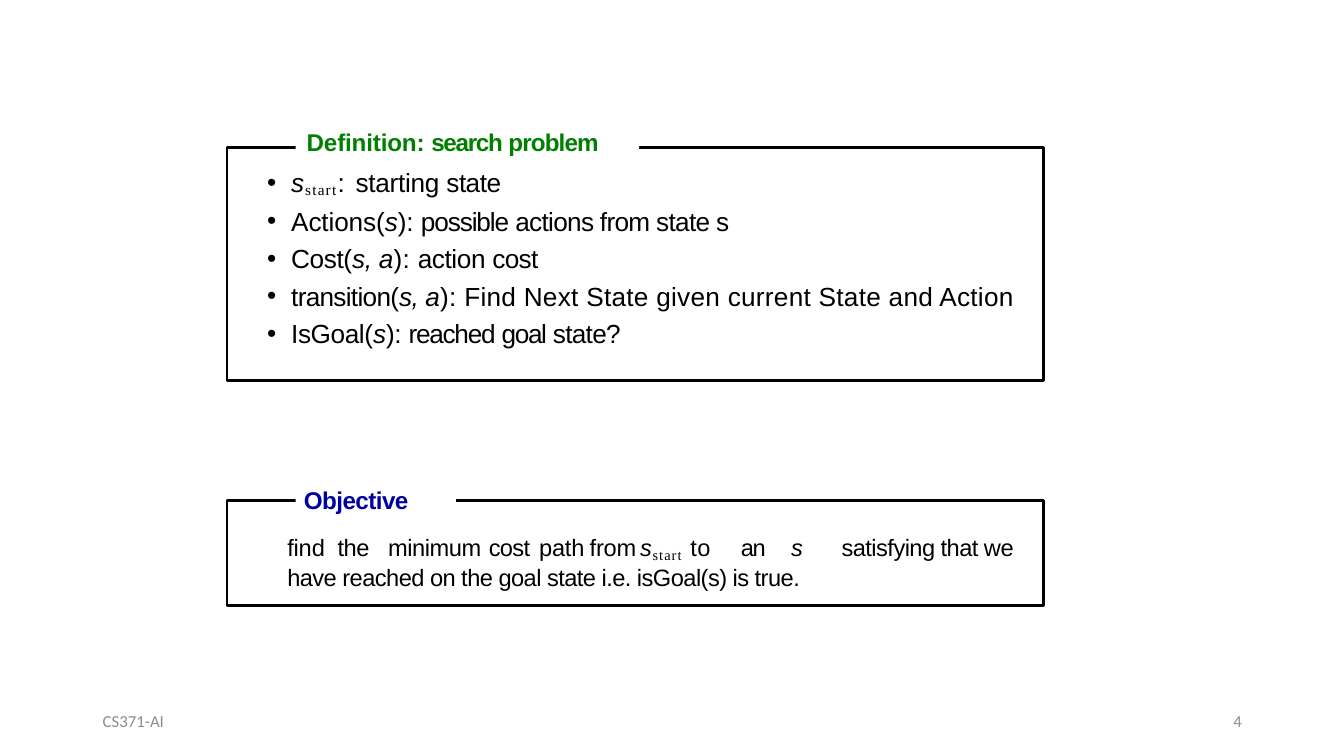
from dataclasses import dataclass

from lxml import etree
from pptx import Presentation
from pptx import util as u
from pptx.dml import color
from pptx.enum import shapes, text
from pptx.oxml import ns


@dataclass(frozen=True)
class Theme:
    sans: str = "Arial"
    serif: str = "Times New Roman"
    footer_font: str = "Calibri"
    ink: str = "000000"
    paper: str = "FFFFFF"
    definition: str = "008000"
    objective: str = "0000A0"
    muted: str = "8C8C8C"
    label_size: float = 17.3
    list_size: float = 18.7
    body_size: float = 16.9
    subscript_size: float = 17.7
    footer_size: float = 12


class Sheet:
    frame_left = 5.72
    frame_width = 20.57

    def __init__(self, page, theme):
        self.page = page
        self.theme = theme

    def span(self, para, content, size, tint=None, font=None, bold=False,
             italic=False, spacing=0, baseline=0):
        run = para.add_run()
        run.text = content
        run.font.size = u.Pt(size)
        run.font.name = font or self.theme.sans
        run.font.bold = bold
        run.font.italic = italic
        run.font.color.rgb = color.RGBColor.from_string(tint or self.theme.ink)
        properties = run.font._element
        properties.set("spc", str(round(spacing * 100)))
        if baseline:
            properties.set("baseline", str(baseline * 1000))

    def spans(self, para, pieces, size):
        for content, spacing, *style in pieces:
            options = {"size": size, **(style[0] if style else {})}
            self.span(para, content, spacing=spacing, **options)

    def indent(self, para, left, hanging=0, bullet=None, tabs=()):
        properties = para._p.get_or_add_pPr()
        properties.set("marL", str(u.Cm(left)))
        properties.set("indent", str(-u.Cm(hanging)))
        if bullet:
            etree.SubElement(properties, ns.qn("a:buFont"), typeface=self.theme.sans)
            etree.SubElement(properties, ns.qn("a:buChar"), char=bullet)
        if tabs:
            stops = etree.SubElement(properties, ns.qn("a:tabLst"))
            for stop in tabs:
                etree.SubElement(stops, ns.qn("a:tab"), pos=str(u.Cm(stop)), algn="l")

    def text_box(self, left, top, width, height, inset=0):
        box = self.page.shapes.add_textbox(*map(u.Cm, (left, top, width, height)))
        frame = box.text_frame
        frame.word_wrap = True
        frame.margin_left = frame.margin_right = u.Cm(inset)
        frame.margin_top = frame.margin_bottom = 0
        return frame

    def rectangle(self, left, top, width, height):
        box = self.page.shapes.add_shape(
            shapes.MSO_SHAPE.RECTANGLE, *map(u.Cm, (left, top, width, height)))
        box.shadow.inherit = False
        return box

    def panel(self, top, height, label_width, label_inset, pieces, tint):
        outline = self.rectangle(self.frame_left, top, self.frame_width, height)
        outline.fill.background()
        outline.line.color.rgb = color.RGBColor.from_string(self.theme.ink)
        outline.line.width = u.Pt(2)
        label = self.rectangle(self.frame_left + 1.73, top - 0.53, label_width, 0.94)
        label.fill.solid()
        label.fill.fore_color.rgb = color.RGBColor.from_string(self.theme.paper)
        label.line.fill.background()
        frame = label.text_frame
        frame.word_wrap = True
        frame.vertical_anchor = text.MSO_ANCHOR.TOP
        frame.margin_left, frame.margin_top = map(u.Cm, label_inset)
        frame.margin_right = frame.margin_bottom = 0
        para = frame.paragraphs[0]
        para.alignment = text.PP_ALIGN.LEFT
        for content, spacing in pieces:
            self.span(para, content, self.theme.label_size, tint=tint,
                      bold=True, spacing=spacing)

    def bullets(self, left, top, width, height, items, tabs):
        frame = self.text_box(left, top, width, height)
        for index, pieces in enumerate(items):
            para = frame.add_paragraph() if index else frame.paragraphs[0]
            self.indent(para, 0.69, 0.61, "•", () if index else tabs)
            para.space_before = u.Pt(4.3 if index else 0)
            self.spans(para, pieces, self.theme.list_size)

    def statement(self, left, top, width, height, pieces, tabs):
        para = self.text_box(left, top, width, height).paragraphs[0]
        self.indent(para, 0.1, tabs=tabs)
        self.spans(para, pieces, self.theme.body_size)

    def footer(self, left, content, alignment):
        frame = self.text_box(left, 17.65, 7.62, 1.02, inset=0.25)
        frame.vertical_anchor = text.MSO_ANCHOR.MIDDLE
        para = frame.paragraphs[0]
        para.alignment = alignment
        self.span(para, content, self.theme.footer_size,
                  tint=self.theme.muted, font=self.theme.footer_font)


def main():
    deck = Presentation()
    deck.slide_width, deck.slide_height = u.Cm(33.87), u.Cm(19.05)
    theme = Theme()
    sheet = Sheet(deck.slides.add_slide(deck.slide_layouts[6]), theme)
    italic = {"italic": True}
    subscript = {"font": theme.serif, "baseline": -13}

    sheet.footer(2.34, "CS371-AI", text.PP_ALIGN.LEFT)
    sheet.footer(23.93, "4", text.PP_ALIGN.RIGHT)

    sheet.panel(3.71, 5.89, 8.66, (0.28, 0.03),
                [("Definition: ", -0.1), ("search ", -0.9), ("problem", -0.6)],
                theme.definition)
    sheet.bullets(6.65, 4.19, 19.15, 4.6, [
        [("s", 0.6, italic), ("start", 0.9, subscript), (":\t", 0.6),
         ("starting ", -0.2), ("state", -0.4)],
        [("Actions(", -0.1), ("s", -0.1, italic), ("): ", -0.1),
         ("possible ", -0.8), ("actions from state s", -0.5)],
        [("Cost(", -0.3), ("s, ", -0.3, italic), ("a", 0.2, italic), ("): ", 0.2),
         ("action ", -0.3), ("cost", -0.5)],
        [("transition(", -0.5), ("s, ", -0.5, italic), ("a", 0.2, italic),
         ("): Find Next State given current State and Action", 0.2)],
        [("IsGoal(", -0.3), ("s", -0.3, italic), ("): ", -0.3),
         ("reached ", -0.9), ("goal ", -1), ("state?", -0.5)],
    ], tabs=[2.31])

    sheet.panel(12.62, 2.64, 4.04, (0.21, 0.13), [("Objective", -0.4)], theme.objective)
    sheet.statement(7.14, 13.41, 18.69, 1.47, [
        ("find\t", -0.1), ("the\tminimum\t", -0.3), ("cost\t", -0.5),
        ("path\t", -0.2), ("from\t", -0.1), ("s", 0.5, italic),
        ("start\t", 0.8, {**subscript, "size": theme.subscript_size}),
        ("to\t", 0.3), ("an\t", -0.9), ("s\t", -0.4, italic),
        ("satisfying that we have reached on the goal state i.e. isGoal(s) is true.", -0.4),
    ], tabs=[1.32, 2.39, 5.03, 6.32, 7.72, 9.19, 10.62, 11.43])

    deck.save("out.pptx")


if __name__ == "__main__":
    main()
